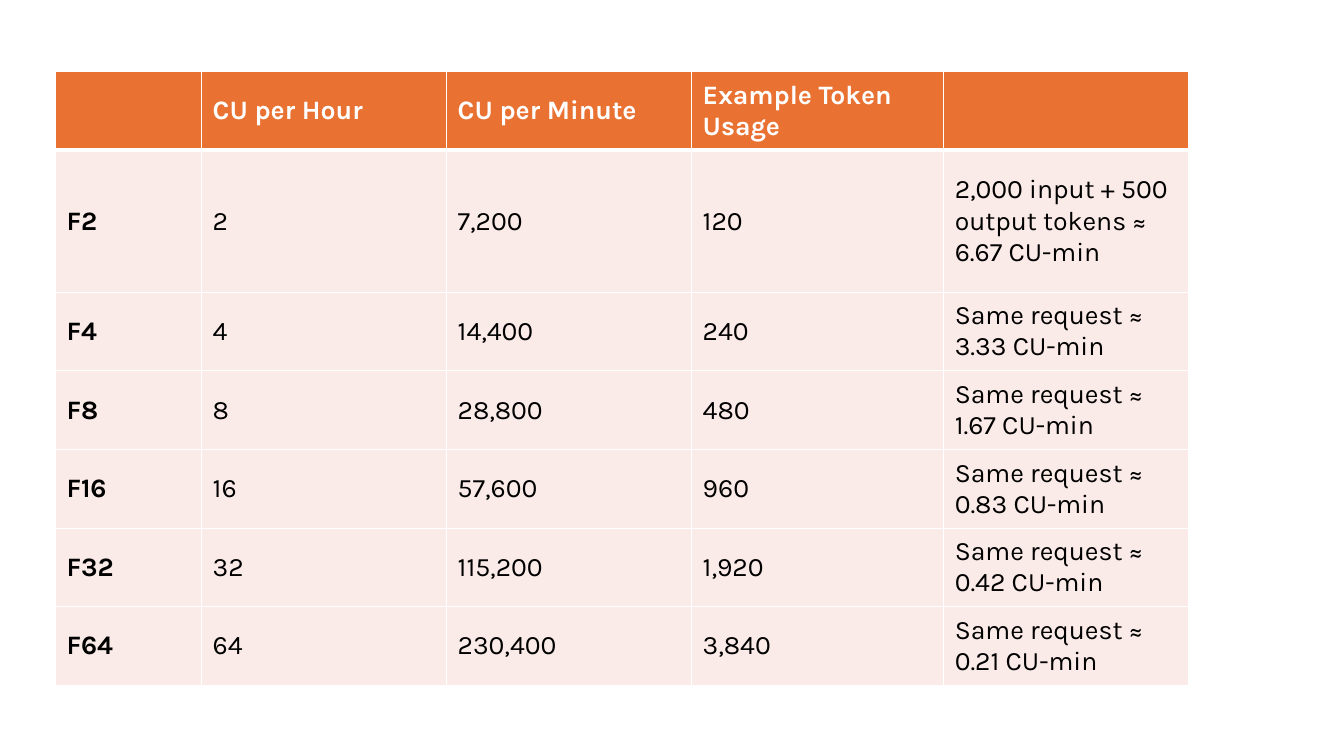
from dataclasses import dataclass

from lxml import etree
from pptx import Presentation
from pptx import util as u
from pptx.dml.color import RGBColor
from pptx.enum import text
from pptx.oxml import ns


@dataclass(frozen=True)
class Theme:
    font: str = "Karla"
    size: float = 19
    header_fill: str = "E97132"
    body_fill: str = "FBEBE8"
    header_text: str = "FFFFFF"
    body_text: str = "000000"
    rule: str = "FFFFFF"
    thin: float = 1
    thick: float = 3


class SlideBuilder:
    def __init__(self, s, theme):
        self.s = s
        self.theme = theme

    def table(self, left, top, widths, heights, rows):
        """Add a table whose first row is the header and first column is bold."""
        tbl = self.s.shapes.add_table(
            len(rows), len(widths), u.Inches(left), u.Inches(top),
            u.Inches(sum(widths)), u.Inches(sum(heights))).table
        for col, width in zip(tbl.columns, widths):
            col.width = u.Inches(width)
        for row, height in zip(tbl.rows, heights):
            row.height = u.Inches(height)
        for i, row in enumerate(rows):
            for j, value in enumerate(row):
                self.cell(tbl.cell(i, j), value, i, j)

    def cell(self, cell, value, i, j):
        t = self.theme
        header = i == 0
        self.borders(cell, top=t.thick if i == 1 else t.thin,
                     bottom=t.thick if header else t.thin)
        cell.fill.solid()
        cell.fill.fore_color.rgb = RGBColor.from_string(
            t.header_fill if header else t.body_fill)
        cell.vertical_anchor = text.MSO_ANCHOR.MIDDLE
        cell.margin_left = cell.margin_right = u.Inches(0.11)
        cell.margin_top = cell.margin_bottom = u.Inches(0.05)
        p = cell.text_frame.paragraphs[0]
        p.text = value
        for r in p.runs:
            r.font.name = t.font
            r.font.size = u.Pt(t.size)
            r.font.bold = header or j == 0
            r.font.color.rgb = RGBColor.from_string(
                t.header_text if header else t.body_text)

    def borders(self, cell, top, bottom):
        """Draw the four cell edges; call before the fill, which follows them in the XML."""
        tc_pr = cell._tc.get_or_add_tcPr()
        edges = {"lnL": self.theme.thin, "lnR": self.theme.thin,
                 "lnT": top, "lnB": bottom}
        for tag, width in edges.items():
            ln = etree.SubElement(tc_pr, ns.qn(f"a:{tag}"), w=str(u.Pt(width)))
            fill = etree.SubElement(ln, ns.qn("a:solidFill"))
            etree.SubElement(fill, ns.qn("a:srgbClr"), val=self.theme.rule)


HEADER = ["", "CU per Hour", "CU per Minute", "Example Token Usage", ""]
CAPACITIES = [
    ["F2", "2", "7,200", "120", "2,000 input + 500 output tokens ≈ 6.67 CU-min"],
    ["F4", "4", "14,400", "240", "Same request ≈ 3.33 CU-min"],
    ["F8", "8", "28,800", "480", "Same request ≈ 1.67 CU-min"],
    ["F16", "16", "57,600", "960", "Same request ≈ 0.83 CU-min"],
    ["F32", "32", "115,200", "1,920", "Same request ≈ 0.42 CU-min"],
    ["F64", "64", "230,400", "3,840", "Same request ≈ 0.21 CU-min"],
]


def main():
    prs = Presentation()
    prs.slide_width = u.Inches(13.33)
    prs.slide_height = u.Inches(7.5)
    s = prs.slides.add_slide(prs.slide_layouts[6])
    builder = SlideBuilder(s, Theme())
    builder.table(0.55, 0.71, widths=[1.45, 2.43, 2.43, 2.5, 2.43],
                  heights=[0.78, 1.41] + [0.78] * 5,
                  rows=[HEADER] + CAPACITIES)
    prs.save("out.pptx")


if __name__ == "__main__":
    main()
